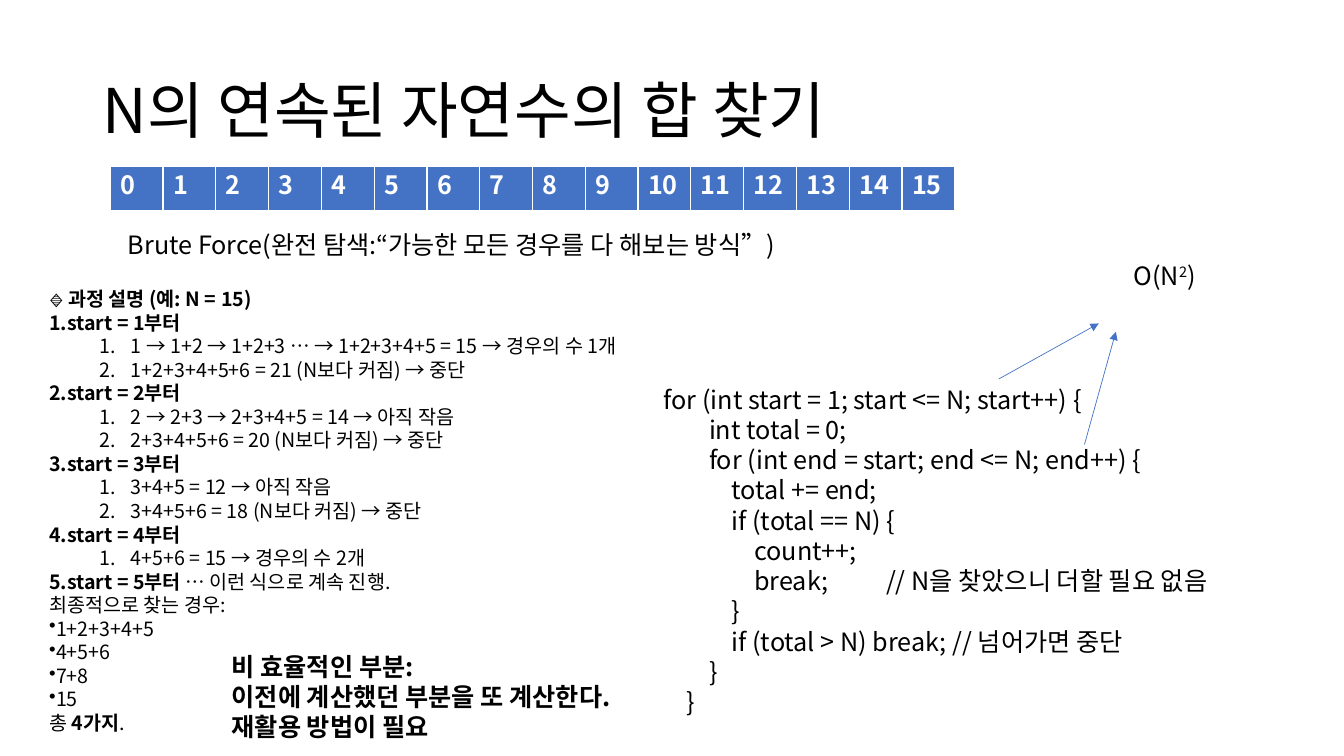
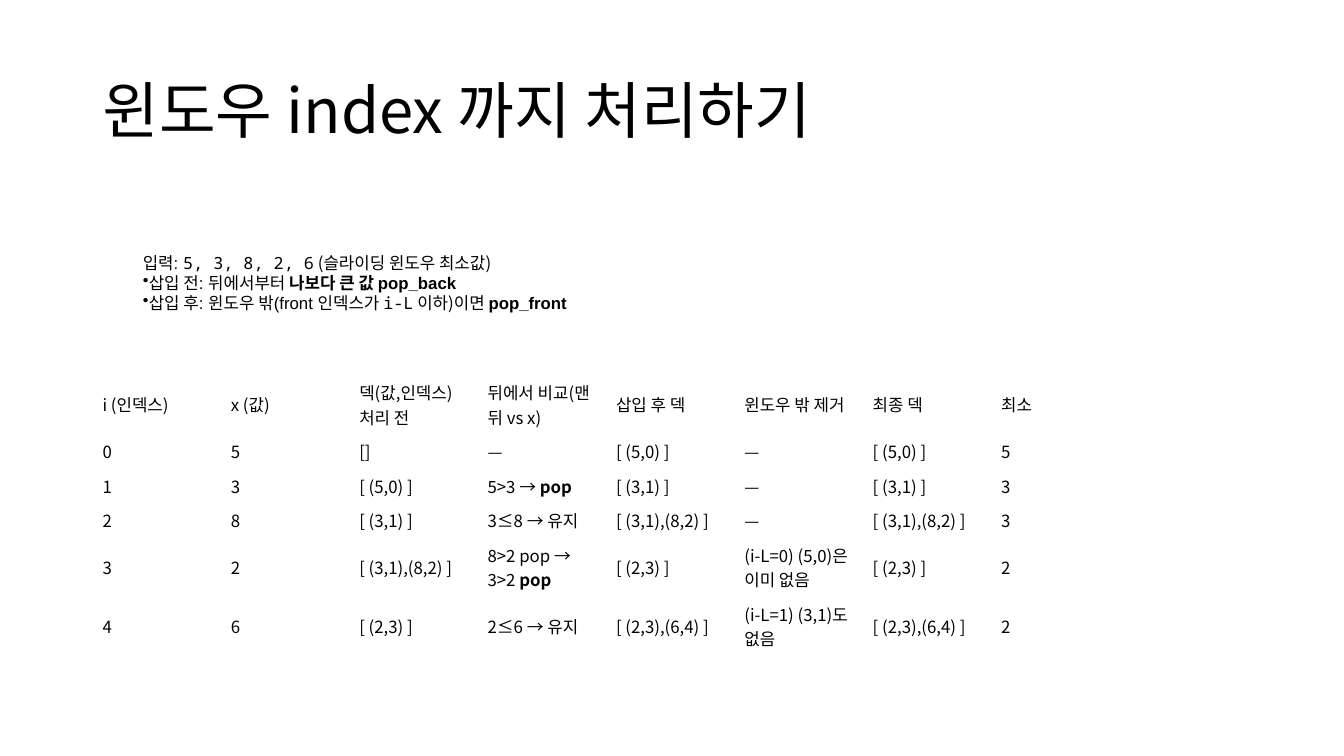
"""Build two slides on consecutive sums and the sliding window minimum."""
from lxml import etree
from pptx import Presentation
from pptx.dml.color import RGBColor
from pptx.enum import shapes, text as text_enum
from pptx.util import Cm, Pt

BLACK = RGBColor(0x00, 0x00, 0x00)
WHITE = RGBColor(0xFF, 0xFF, 0xFF)
BLUE = RGBColor(0x44, 0x72, 0xC4)
KOREAN = "Noto Sans CJK KR"
LATIN = "Arial"
MONO = "Noto Sans Mono"
A = "{http://schemas.openxmlformats.org/drawingml/2006/main}"


def write(para, spans, size, spacing=None, color=BLACK, bullet=None):
    """Fill a paragraph with (text, bold, optional font) spans."""
    para.alignment = text_enum.PP_ALIGN.LEFT
    para.line_spacing = spacing
    if bullet == "1.":
        etree.SubElement(para._p.get_or_add_pPr(), A + "buAutoNum", type="arabicPeriod")
    elif bullet:
        etree.SubElement(para._p.get_or_add_pPr(), A + "buChar", char=bullet)
    for text, bold, *font in spans:
        span = para.add_run()
        span.text = text
        span.font.size = Pt(size)
        span.font.bold = bold
        span.font.color.rgb = color
        span.font.name = font[0] if font else KOREAN
        etree.SubElement(span._r.get_or_add_rPr(), A + "ea", typeface=KOREAN)


def add_box(page, left, top, width, height, lines, size, wrap=True):
    """Add a text box of (spans, bullet) lines and return its text frame."""
    box = page.shapes.add_textbox(Cm(left), Cm(top), Cm(width), Cm(height))
    frame = box.text_frame
    frame.word_wrap = wrap
    frame.auto_size = text_enum.MSO_AUTO_SIZE.SHAPE_TO_FIT_TEXT
    for index, (spans, bullet) in enumerate(lines):
        para = frame.add_paragraph() if index else frame.paragraphs[0]
        write(para, spans, size, Pt(size * 1.2), bullet=bullet)
    return frame


deck = Presentation()
deck.slide_width = Cm(33.87)
deck.slide_height = Cm(19.05)
layout = deck.slide_layouts.get_by_name("Title Only")
heading = layout.placeholders[0]
heading.left, heading.top = Cm(2.33), Cm(1.01)
heading.width, heading.height = Cm(29.21), Cm(3.68)

pages = []
for title in ("N의 연속된 자연수의 합 찾기", "윈도우 index 까지 처리하기"):
    page = deck.slides.add_slide(layout)
    frame = page.shapes.title.text_frame
    frame.vertical_anchor = text_enum.MSO_ANCHOR.MIDDLE
    write(frame.paragraphs[0], [(title, False)], 44, 0.9)
    pages.append(page)
sum_page, window_page = pages

numbers = sum_page.shapes.add_table(1, 16, Cm(2.78), Cm(4.2), Cm(21.28), Cm(1.1)).table
for number, cell in enumerate(numbers.iter_cells()):
    numbers.columns[number].width = Cm(1.33)
    cell.fill.solid()
    cell.fill.fore_color.rgb = BLUE
    write(cell.text_frame.paragraphs[0], [(str(number), True)], 18, Pt(21.6), WHITE)

method = "Brute Force(완전 탐색:“가능한 모든 경우를 다 해보는 방식”)"
add_box(sum_page, 2.97, 5.66, 25.98, 1.02, [([(method, False)], None)], 18)

code = [
    (0, "for (int start = 1; start <= N; start++) {"),
    (2, "int total = 0;"),
    (2, "for (int end = start; end <= N; end++) {"),
    (3, "total += end;"),
    (3, "if (total == N) {"),
    (4, "count++;"),
    (4, "break;\t// N을 찾았으니 더할 필요 없음"),
    (3, "}"),
    (3, "if (total > N) break; // 넘어가면 중단"),
    (2, "}"),
    (1, "}"),
]
code_lines = [([("\t" * depth + line, False)], None) for depth, line in code]
code_frame = add_box(sum_page, 16.48, 9.55, 17.37, 8.71, code_lines, 18)
for para in code_frame.paragraphs:
    tabs = etree.SubElement(para._p.get_or_add_pPr(), A + "tabLst")
    for stop in (0.57, 1.14, 1.71, 2.28, 5.6):
        etree.SubElement(tabs, A + "tab", pos=str(int(Cm(stop))), algn="l")

starts = [
    ("start = 1부터", ["1 → 1+2 → 1+2+3 … → 1+2+3+4+5 = 15 → 경우의 수 1개",
                     "1+2+3+4+5+6 = 21 (N보다 커짐) → 중단"]),
    ("start = 2부터", ["2 → 2+3 → 2+3+4+5 = 14 → 아직 작음",
                     "2+3+4+5+6 = 20 (N보다 커짐) → 중단"]),
    ("start = 3부터", ["3+4+5 = 12 → 아직 작음",
                     "3+4+5+6 = 18 (N보다 커짐) → 중단"]),
    ("start = 4부터", ["4+5+6 = 15 → 경우의 수 2개"]),
]
steps = [([("🔹 과정 설명 (예: N = 15)", True)], None)]
sub_steps = []
for start, sums in starts:
    steps.append(([(start, True)], "1."))
    for line in sums:
        sub_steps.append(len(steps))
        steps.append(([(line, False)], "1."))
steps.append(([("start = 5부터 ", True), ("… 이런 식으로 계속 진행.", False)], "1."))
steps.append(([("최종적으로 찾는 경우:", False)], None))
for answer in ("1+2+3+4+5", "4+5+6", "7+8", "15"):
    steps.append(([(answer, False)], "•"))
steps.append(([("총 ", False), ("4가지", True), (".", False)], None))
step_frame = add_box(sum_page, 0.99, 7.11, 16.94, 11.63, steps, 14)
for index in sub_steps:
    para = step_frame.paragraphs[index]
    para.level = 1
    properties = para._p.get_or_add_pPr()
    properties.set("marL", str(int(Cm(2.06))))
    properties.set("indent", str(int(Cm(-0.79))))

for ends in ((25.17, 9.55, 27.69, 8.15), (27.33, 11.2, 28.12, 8.36)):
    arrow = sum_page.shapes.add_connector(
        shapes.MSO_CONNECTOR.STRAIGHT, *[Cm(end) for end in ends])
    arrow.line.color.rgb = BLUE
    arrow.line.width = Pt(0.5)
    etree.SubElement(arrow.line._get_or_add_ln(), A + "tailEnd", type="triangle")
    etree.SubElement(arrow._element.spPr, A + "effectLst")

order = [("O(N", False), ("2", False), (")", False)]
order_frame = add_box(sum_page, 28.32, 6.43, 2.13, 1.02, [(order, None)], 18, wrap=False)
order_frame.paragraphs[0].runs[1]._r.get_or_add_rPr().set("baseline", "30000")

drawbacks = ("비 효율적인 부분:", "이전에 계산했던 부분을 또 계산한다.", "재활용 방법이 필요")
add_box(sum_page, 5.59, 16.28, 11.2, 2.57,
        [([(line, True)], None) for line in drawbacks], 18, wrap=False)

rows = [
    ["i (인덱스)", "x (값)", "덱(값,인덱스) 처리 전", "뒤에서 비교(맨 뒤 vs x)",
     "삽입 후 덱", "윈도우 밖 제거", "최종 덱", "최소"],
    ["0", "5", "[]", "—", "[ (5,0) ]", "—", "[ (5,0) ]", "5"],
    ["1", "3", "[ (5,0) ]", "5>3 → pop", "[ (3,1) ]", "—", "[ (3,1) ]", "3"],
    ["2", "8", "[ (3,1) ]", "3≤8 → 유지", "[ (3,1),(8,2) ]", "—", "[ (3,1),(8,2) ]", "3"],
    ["3", "2", "[ (3,1),(8,2) ]", "8>2 pop → 3>2 pop", "[ (2,3) ]",
     "(i-L=0) (5,0)은 이미 없음", "[ (2,3) ]", "2"],
    ["4", "6", "[ (2,3) ]", "2≤6 → 유지", "[ (2,3),(6,4) ]",
     "(i-L=1) (3,1)도 없음", "[ (2,3),(6,4) ]", "2"],
]
trace = window_page.shapes.add_table(
    len(rows), len(rows[0]), Cm(2.33), Cm(9.45), Cm(25.88), Cm(7.08)).table
trace.first_row = False
trace.horz_banding = False
for row, height, values in zip(trace.rows, (1.49, 0.87, 0.87, 0.87, 1.49, 1.49), rows):
    row.height = Cm(height)
    for cell, value in zip(row.cells, values):
        cell.fill.background()
        cell.vertical_anchor = text_enum.MSO_ANCHOR.MIDDLE
        spans = [(value, False)]
        if value.endswith("pop"):
            spans = [(value.removesuffix("pop"), False), ("pop", True)]
        write(cell.text_frame.paragraphs[0], spans, 12)

rules = [
    ([("입력: ", False, LATIN), ("5, 3, 8, 2, 6", False, MONO),
      (" (슬라이딩 윈도우 최소값)", False)], None),
    ([("삽입 전: 뒤에서부터 ", False, LATIN), ("나보다 큰 값 pop_back", True, LATIN)], "•"),
    ([("삽입 후: 윈도우 밖(front 인덱스가 ", False, LATIN), ("i-L", False, MONO),
      (" 이하)이면 ", False), ("pop_front", True, LATIN)], "•"),
]
rule_frame = add_box(window_page, 3.35, 6.22, 15.57, 1.8, rules, 12)
rule_frame.vertical_anchor = text_enum.MSO_ANCHOR.MIDDLE

deck.save("out.pptx")
